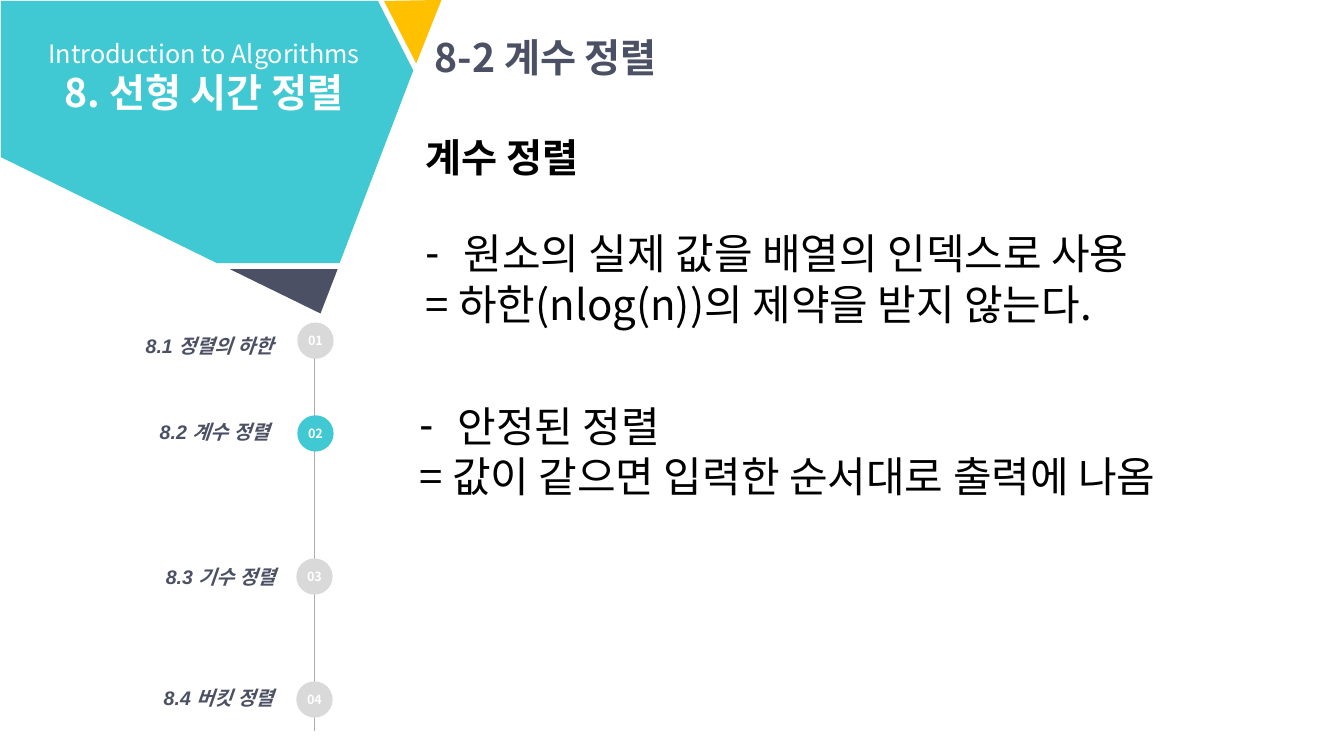
from lxml import etree
from pptx import Presentation
from pptx import util as u
from pptx.dml.color import RGBColor
from pptx.enum import shapes, text
from pptx.oxml.ns import qn

CELL = u.Inches(0.1)  # grid cell: the slide is 133.3 columns by 75 rows
COLUMNS, ROWS = 133.33, 75
FONT, LABEL_FONT = "Noto Sans CJK KR", "Arial"
WHITE = RGBColor(0xFF, 0xFF, 0xFF)
BLACK = RGBColor(0, 0, 0)
TEAL = RGBColor(0x41, 0xC9, 0xD3)
YELLOW = RGBColor(0xFF, 0xC0, 0x00)
NAVY = RGBColor(0x4C, 0x50, 0x64)
GREY = RGBColor(0xD9, 0xD9, 0xD9)
LINE_GREY = RGBColor(0xAF, 0xAB, 0xAB)
DOT_SIZE = 3.6
CURRENT = "02"

GEMS = [
    (YELLOW, [(38.1, 0.1), (43.8, 0), (41.3, 6.3)]),
    (TEAL, [(0.1, 0.1), (37.5, 0.1), (41, 7), (33.7, 26.1), (21.5, 26.1), (0.1, 15.6)]),
    (NAVY, [(22.8, 26.7), (33.5, 26.7), (31.8, 31.1)]),
]
# number, label, dot column, dot row, label's right edge, label row
CHAPTERS = [
    ("01", "8.1 정렬의 하한", 29.5, 32, 28.1, 32.6),
    ("02", "8.2 계수 정렬", 29.5, 41.2, 27.7, 41.2),
    ("03", "8.3 기수 정렬", 29.4, 55.4, 28.3, 55.6),
    ("04", "8.4 버킷 정렬", 29.4, 67.6, 28.1, 67.6),
]
# column, row, bulleted point, conclusion
POINTS = [
    (41.2, 22.1, "원소의 실제 값을 배열의 인덱스로 사용", "= 하한(nlog(n))의 제약을 받지 않는다."),
    (40.6, 39.2, "안정된 정렬", "= 값이 같으면 입력한 순서대로 출력에 나옴"),
]


def cells(*counts):
    """Turn grid counts into lengths."""
    return [u.Emu(round(count * CELL)) for count in counts]


def write(frame, words, size, color, font=FONT, bold=False, italic=False,
          align=text.PP_ALIGN.LEFT, first=True):
    """Write one formatted paragraph into a text frame and return it."""
    paragraph = frame.paragraphs[0] if first else frame.add_paragraph()
    paragraph.alignment = align
    paragraph.space_before = u.Pt(0)
    run = paragraph.add_run()
    run.text = words
    run.font.size, run.font.name = u.Pt(size), font
    run.font.bold, run.font.italic = bold, italic
    run.font.color.rgb = color
    east_asian = etree.SubElement(run.font._element, qn("a:ea"))
    east_asian.set("typeface", FONT)
    return paragraph


def set_marker(paragraph, marker=None, indent=0):
    """Give a paragraph a bullet with a hanging indent, or no bullet."""
    properties = paragraph._p.get_or_add_pPr()
    properties.set("marL", str(indent))
    properties.set("indent", str(-indent))
    bullet = etree.SubElement(properties, qn("a:buChar" if marker else "a:buNone"))
    if marker:
        bullet.set("char", marker)


def settle(holder, box):
    """Move a text holder to its box and return its wrapped, top-anchored frame."""
    holder.left, holder.top, holder.width, holder.height = cells(*box)
    frame = holder.text_frame
    frame.word_wrap = True
    frame.auto_size = text.MSO_AUTO_SIZE.NONE
    frame.vertical_anchor = text.MSO_ANCHOR.TOP
    return frame


def add_text(slide, box):
    """Add a text box and return its frame."""
    return settle(slide.shapes.add_textbox(*cells(*box)), box)


def paint(shape, color):
    """Fill a shape plainly, without outline or shadow."""
    shape.fill.solid()
    shape.fill.fore_color.rgb = color
    shape.line.fill.background()
    shape.shadow.inherit = False


def add_gem(slide, color, corners):
    """Draw one closed polygon of the corner ornament."""
    start, *rest = [(column * 10, row * 10) for column, row in corners]
    builder = slide.shapes.build_freeform(*start, scale=CELL / 10)
    builder.add_line_segments(rest, close=True)
    paint(builder.convert_to_shape(), color)


def add_timeline(slide, column, top, bottom):
    """Draw the vertical line behind the chapter dots."""
    line = slide.shapes.add_connector(
        shapes.MSO_CONNECTOR.STRAIGHT, *cells(column, top, column, bottom))
    line.line.color.rgb = LINE_GREY
    line.line.width = u.Pt(0.5)
    etree.SubElement(line._element.spPr, qn("a:effectLst"))


def add_chapter(slide, number, label, column, row, label_right, label_row):
    """Add a numbered dot and the chapter label to its left."""
    dot = slide.shapes.add_shape(
        shapes.MSO_SHAPE.OVAL, *cells(column, row, DOT_SIZE, DOT_SIZE))
    paint(dot, TEAL if number == CURRENT else GREY)
    frame = dot.text_frame
    frame.margin_left = frame.margin_right = frame.margin_top = frame.margin_bottom = 0
    frame.vertical_anchor = text.MSO_ANCHOR.MIDDLE
    write(frame, number, 9, WHITE, bold=True, align=text.PP_ALIGN.CENTER)
    write(add_text(slide, (label_right - 24.1, label_row, 24.1, 3.4)), label, 14, NAVY,
          font=LABEL_FONT, bold=True, italic=True, align=text.PP_ALIGN.RIGHT)


def fill_point(body, column, row, point, conclusion):
    """Fill a body placeholder with a dashed point and its conclusion."""
    frame = settle(body, (column, row, 87.3, 11.1))
    set_marker(write(frame, point, 30, BLACK), "-", u.Inches(0.38))
    set_marker(write(frame, conclusion, 30, BLACK, first=False))


def main():
    """Build the slide and save it."""
    deck = Presentation()
    deck.slide_width, deck.slide_height = cells(COLUMNS, ROWS)
    slide = deck.slides.add_slide(deck.slide_layouts.get_by_name("Two Content"))
    title, *bodies = slide.placeholders

    add_timeline(slide, 31.2, 34.5, 72.5)
    for color, corners in GEMS:
        add_gem(slide, color, corners)
    header = add_text(slide, (-0.1, 3.3, 40.7, 8.8))
    write(header, "Introduction to Algorithms", 18, WHITE, align=text.PP_ALIGN.CENTER)
    write(header, "8. 선형 시간 정렬", 28, WHITE, bold=True,
          align=text.PP_ALIGN.CENTER, first=False)
    for chapter in CHAPTERS:
        add_chapter(slide, *chapter)

    write(settle(title, (42.1, 2.8, 90, 5.7)), "8-2 계수 정렬", 28, NAVY, bold=True)
    write(add_text(slide, (41.2, 12.7, 90, 5.7)), "계수 정렬", 28, BLACK, bold=True)
    for body, point in zip(bodies, POINTS):
        fill_point(body, *point)
    deck.save("out.pptx")


main()
